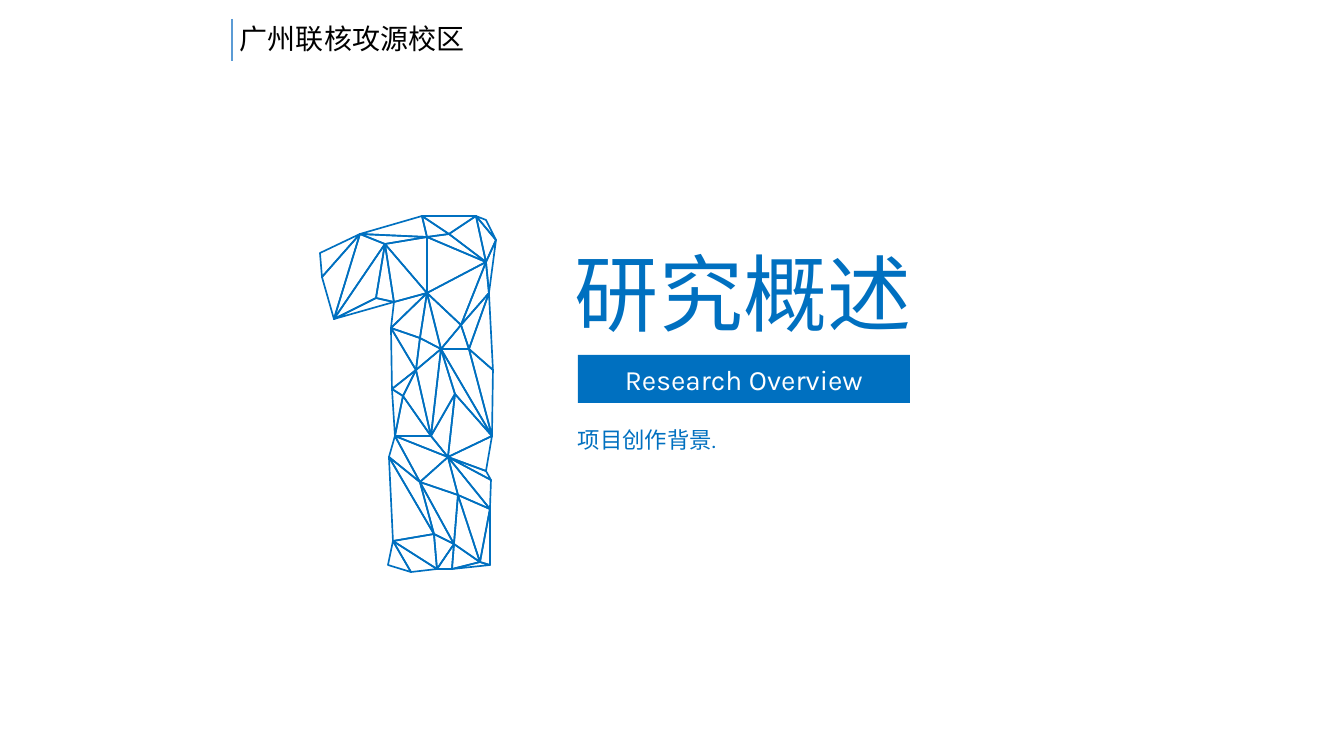
"""Build a section slide with a faceted numeral 1, a title and a subtitle."""
import pptx
import pptx.util
import pptx.dml.color
import pptx.enum.shapes
import pptx.enum.text
import pptx.oxml.ns
import lxml.etree

PX = 914400 / 100.8
BLUE = "0070C0"
LEFT = pptx.enum.text.PP_ALIGN.LEFT
CENTER = pptx.enum.text.PP_ALIGN.CENTER
MIDDLE = pptx.enum.text.MSO_ANCHOR.MIDDLE
TOP = pptx.enum.text.MSO_ANCHOR.TOP


def rgb(value):
    return pptx.dml.color.RGBColor.from_string(value)


def write(sp, text, size, color, font, align, anchor):
    tf = sp.text_frame
    tf.word_wrap = True
    tf.vertical_anchor = anchor
    p = tf.paragraphs[0]
    p.alignment = align
    r = p.add_run()
    r.text = text
    r.font.size = pptx.util.Pt(size)
    r.font.name = font
    r.font.color.rgb = rgb(color)
    ea = lxml.etree.SubElement(r.font._element, pptx.oxml.ns.qn("a:ea"))
    ea.set("typeface", "Noto Sans CJK KR")


prs = pptx.Presentation()
prs.slide_width = round(1344 * PX)
prs.slide_height = round(756 * PX)
s = prs.slides.add_slide(prs.slide_layouts[6])

nodes = {
    "A": (320, 253), "B": (360, 234), "C": (422, 216), "D": (476, 216), "E": (486, 220),
    "F": (496, 240), "G": (486, 262), "H": (489, 293), "I": (493, 370), "J": (492, 436),
    "K": (486, 471), "L": (491, 480), "M": (490, 509), "N": (490, 565), "O": (480, 562),
    "P": (452, 569), "Q": (437, 569), "R": (411, 572), "S": (388, 565), "T": (393, 541),
    "U": (389, 457), "V": (395, 436), "W": (392, 389), "X": (391, 328), "Y": (394, 302),
    "Z": (334, 319), "a": (322, 277), "b": (385, 244), "c": (427, 237), "d": (449, 234),
    "e": (376, 298), "f": (427, 293), "g": (461, 325), "h": (469, 349), "i": (441, 349),
    "j": (420, 338), "k": (416, 370), "l": (403, 396), "m": (431, 436), "n": (455, 394),
    "o": (448, 457), "p": (420, 482), "q": (458, 495), "r": (434, 534), "s": (454, 544),
}
facets = (
    "OPN sQP sPO TRQ TSR rQs rTQ MON qsO qOM prs psq oLK oqM UTr Urp oML opq VUp JoK Vpo "
    "Vom lVm nmo noJ WVl kWl klm inJ imn hJI ikm ihJ jki XWk Xkj gih eZY Hgh fji HhI fig "
    "fXj fYX GgH Gfg beY bYf bZe FGH cbf cfG BaZ BAa BZb dcG Bbc DGF DFE Ccd DdG CdD CBc"
).split()
builder = s.shapes.build_freeform(*nodes[facets[0][0]], scale=PX)
for facet in facets:
    first, *others = [nodes[name] for name in facet]
    builder.move_to(*first)
    builder.add_line_segments(others, close=True)
numeral = builder.convert_to_shape()
numeral.shadow.inherit = False
numeral.fill.background()
numeral.line.color.rgb = rgb(BLUE)
numeral.line.width = pptx.util.Pt(1.2)
ln = numeral._element.spPr.find(pptx.oxml.ns.qn("a:ln"))
lxml.etree.SubElement(ln, pptx.oxml.ns.qn("a:round"))

x, y, w, h = (round(v * PX) for v in (578, 355, 332, 48))
banner = s.shapes.add_shape(pptx.enum.shapes.MSO_SHAPE.RECTANGLE, x, y, w, h)
banner.shadow.inherit = False
banner.fill.solid()
banner.fill.fore_color.rgb = rgb(BLUE)
banner.line.fill.background()
write(banner, "Research Overview", 20, "FFFFFF", "Karla", CENTER, MIDDLE)

labels = [
    ((529, 237, 428, 112), "研究概述", 60, BLUE, "Karla", CENTER),
    ((568, 421, 545, 37), "项目创作背景.", 16, BLUE, "Karla", LEFT),
    ((230, 17, 246, 44), "广州联核攻源校区", 20, "000000", "Noto Sans CJK KR", LEFT),
]
for box, text, size, color, font, align in labels:
    sp = s.shapes.add_textbox(*(round(v * PX) for v in box))
    write(sp, text, size, color, font, align, TOP)

x, top, bottom = (round(v * PX) for v in (232, 19, 61))
rule = s.shapes.add_connector(pptx.enum.shapes.MSO_CONNECTOR.STRAIGHT, x, top, x, bottom)
rule.line.color.rgb = rgb("5B9BD5")
rule.line.width = pptx.util.Pt(1.5)
lxml.etree.SubElement(rule._element.spPr, pptx.oxml.ns.qn("a:effectLst"))

prs.save("out.pptx")
